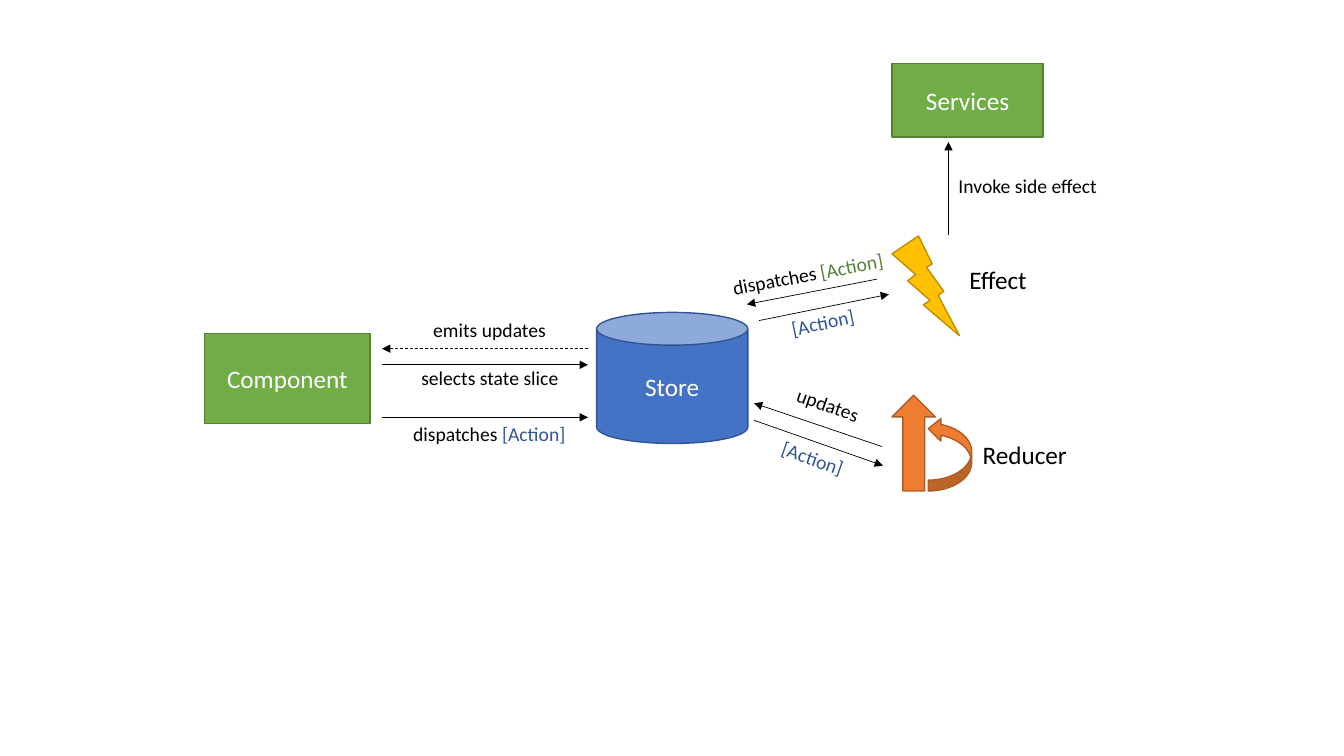
from dataclasses import dataclass

from pptx import Presentation
from pptx.dml.color import RGBColor
from pptx.enum.dml import MSO_LINE
from pptx.enum.shapes import MSO_CONNECTOR, MSO_SHAPE
from pptx.enum.text import MSO_ANCHOR, MSO_AUTO_SIZE, PP_ALIGN
from pptx.oxml.ns import qn
from pptx.shapes.autoshape import Shape
from pptx.shapes.shapetree import _BaseGroupShapes as ShapeTree
from pptx.text.text import TextFrame
from pptx.util import Pt
from lxml.etree import SubElement

FONT = "Calibri"
COLORS = {
    "black": "000000", "white": "FFFFFF",
    "blue": "4472C4", "blue edge": "325491", "blue text": "2F5597",
    "green": "70AD47", "green edge": "538035", "green text": "548235",
    "gold": "FFC000", "gold edge": "BD8E00",
    "orange": "ED7D31", "orange edge": "AF5C24",
}
Span = tuple[str, str]


@dataclass
class Node:
    """A filled shape; its edge colour is the darker tone of its fill."""
    kind: MSO_SHAPE
    color: str
    frame: tuple[float, float, float, float]
    text: str = ""
    rotation: float = 0
    adjustments: tuple[float, ...] = ()


@dataclass
class Label:
    """Free text made of (words, colour) spans."""
    frame: tuple[float, float, float, float]
    spans: list[Span]
    size: float = 14
    rotation: float = 0


@dataclass
class Flow:
    """An arrow between two points, with its label."""
    start: tuple[float, float]
    end: tuple[float, float]
    label: Label
    dashed: bool = False


def rgb(name: str) -> RGBColor:
    """Look up a named colour."""
    return RGBColor.from_string(COLORS[name])


def write(text_frame: TextFrame, spans: list[Span], *, size: float,
          align: PP_ALIGN = PP_ALIGN.LEFT) -> None:
    """Write coloured spans into the first paragraph."""
    para = text_frame.paragraphs[0]
    para.alignment = align
    for text, color in spans:
        span = para.add_run()
        span.text = text
        span.font.name = FONT
        span.font.size = Pt(size)
        span.font.color.rgb = rgb(color)


def draw_node(shapes: ShapeTree, node: Node) -> Shape:
    """Draw a filled shape with optional centred text."""
    shape = shapes.add_shape(node.kind, *map(Pt, node.frame))
    shape.shadow.inherit = False
    shape.rotation = node.rotation
    for index, value in enumerate(node.adjustments):
        shape.adjustments[index] = value
    shape.fill.solid()
    shape.fill.fore_color.rgb = rgb(node.color)
    shape.line.color.rgb = rgb(f"{node.color} edge")
    shape.line.width = Pt(1)
    if node.text:
        shape.text_frame.vertical_anchor = MSO_ANCHOR.MIDDLE
        write(shape.text_frame, [(node.text, "white")], size=18, align=PP_ALIGN.CENTER)
    return shape


def draw_label(shapes: ShapeTree, label: Label) -> None:
    """Draw an unwrapped text box that fits its text."""
    box = shapes.add_textbox(*map(Pt, label.frame))
    box.rotation = label.rotation
    box.text_frame.word_wrap = False
    box.text_frame.auto_size = MSO_AUTO_SIZE.SHAPE_TO_FIT_TEXT
    write(box.text_frame, label.spans, size=label.size)


def draw_flow(shapes: ShapeTree, flow: Flow) -> None:
    """Draw an arrow and its label."""
    arrow = shapes.add_connector(MSO_CONNECTOR.STRAIGHT, *map(Pt, flow.start + flow.end))
    arrow.line.color.rgb = rgb("black")
    arrow.line.width = Pt(0.5)
    if flow.dashed:
        arrow.line.dash_style = MSO_LINE.DASH
    SubElement(arrow.line._get_or_add_ln(), qn("a:tailEnd"), type="triangle")
    SubElement(arrow._element.spPr, qn("a:effectLst"))
    draw_label(shapes, flow.label)


NODES = [
    Node(MSO_SHAPE.CAN, "blue", (426.2, 223.2, 108, 93.6), "Store"),
    Node(MSO_SHAPE.RECTANGLE, "green", (146.2, 238.3, 118.1, 64.1), "Component"),
    Node(MSO_SHAPE.RECTANGLE, "green", (637.2, 45.4, 108, 52.6), "Services"),
]
ICONS = [
    ([Node(MSO_SHAPE.LIGHTNING_BOLT, "gold", (637.2, 168.5, 48.2, 71.3))],
     Label((685.4, 185, 56.2, 28.8), [("Effect", "black")], size=18)),
    ([Node(MSO_SHAPE.RIGHT_ARROW, "orange", (618.5, 301, 68.4, 31), rotation=270),
      Node(MSO_SHAPE.CURVED_UP_ARROW, "orange", (652.3, 308.9, 52.6, 31), rotation=270,
           adjustments=(0.25, 0.52, 0.29))],
     Label((694.8, 310.3, 75.6, 28.8), [("Reducer", "black")], size=18)),
]

ACTION = ("[Action]", "blue text")
DISPATCHES = ("dispatches ", "black")
LEFT, RIGHT = 272.9, 420
FLOWS = [
    Flow((LEFT, 298.1), (RIGHT, 298.1),
         Label((288, 298.1, 124.6, 24.2), [DISPATCHES, ACTION])),
    Flow((538.6, 300.2), (630.7, 332.6),
         Label((550.8, 315.4, 60.5, 24.2), [ACTION], rotation=19.5)),
    Flow((630, 319), (538.6, 288),
         Label((561.6, 277.2, 60.5, 24.2), [("updates", "black")], rotation=19.1)),
    Flow((542.2, 229), (635, 210.2),
         Label((558, 218.2, 60.5, 24.2), [ACTION], rotation=348.4)),
    Flow((626.4, 199.4), (533.5, 217.4),
         Label((515.5, 183.6, 124.6, 24.2), [DISPATCHES, ("[Action]", "green text")],
               rotation=349.4)),
    Flow((LEFT, 260.6), (RIGHT, 260.6),
         Label((293.8, 257.8, 113.8, 24.2), [("selects state slice", "black")])),
    Flow((RIGHT, 249.1), (LEFT, 249.1),
         Label((302.4, 223.2, 95.8, 24.2), [("emits updates", "black")]), dashed=True),
    Flow((677.5, 167.8), (677.5, 101.5),
         Label((677.5, 121, 114.5, 24.2), [("Invoke side effect", "black")])),
]

deck = Presentation()
deck.slide_width, deck.slide_height = Pt(960), Pt(540)
page = deck.slides.add_slide(deck.slide_layouts[6])

for node in NODES:
    draw_node(page.shapes, node)
for parts, caption in ICONS:
    icon = page.shapes.add_group_shape()
    for part in parts:
        draw_node(icon.shapes, part)
    draw_label(icon.shapes, caption)
for flow in FLOWS:
    draw_flow(page.shapes, flow)

deck.save("out.pptx")
